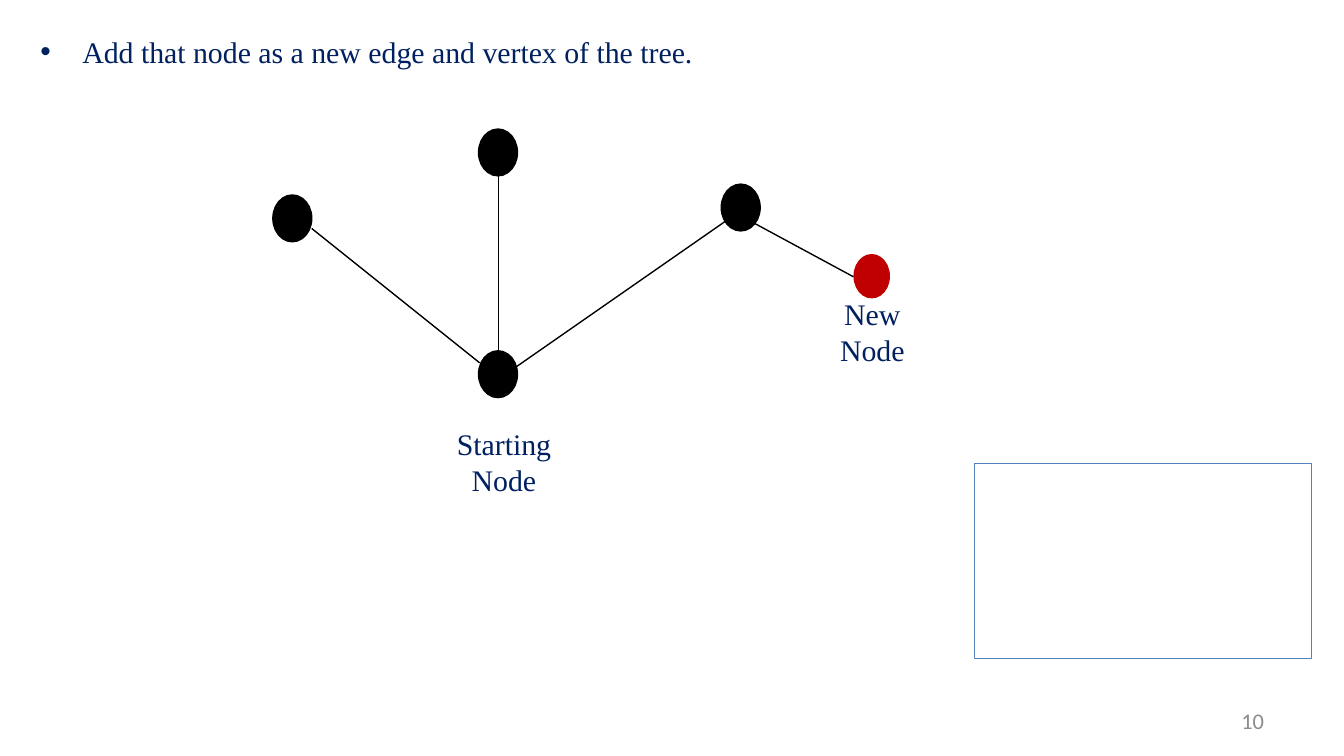
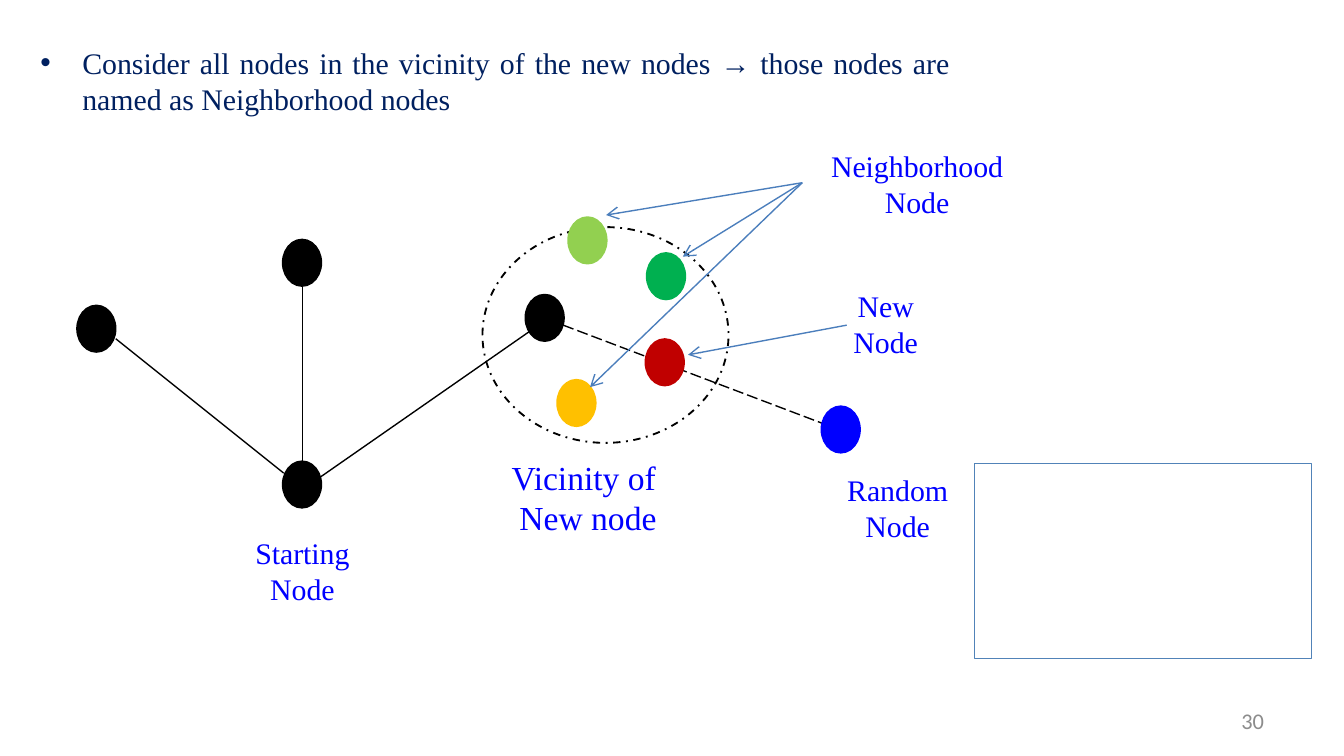
from dataclasses import dataclass

import lxml.etree
import pptx
import pptx.dml.color
import pptx.enum.dml
import pptx.enum.shapes
import pptx.enum.text
import pptx.oxml.ns
import pptx.util

Pt = pptx.util.Pt
RGBColor = pptx.dml.color.RGBColor
MSO_LINE = pptx.enum.dml.MSO_LINE
MSO_SHAPE = pptx.enum.shapes.MSO_SHAPE
MSO_ANCHOR = pptx.enum.text.MSO_ANCHOR
MSO_AUTO_SIZE = pptx.enum.text.MSO_AUTO_SIZE
PP_ALIGN = pptx.enum.text.PP_ALIGN
qn = pptx.oxml.ns.qn

BLACK = RGBColor(0x00, 0x00, 0x00)
WHITE = RGBColor(0xFF, 0xFF, 0xFF)
NAVY = RGBColor(0x00, 0x20, 0x60)
BLUE = RGBColor(0x00, 0x00, 0xFF)
RED = RGBColor(0xC0, 0x00, 0x00)
LIME = RGBColor(0x92, 0xD0, 0x50)
GREEN = RGBColor(0x00, 0xB0, 0x50)
AMBER = RGBColor(0xFF, 0xC0, 0x00)
ARROW_BLUE = RGBColor(0x4B, 0x7E, 0xBC)
FRAME_BLUE = RGBColor(0x51, 0x83, 0xB8)
GREY = RGBColor(0x8C, 0x8C, 0x8C)

SERIF = "Times New Roman"
NODE_W, NODE_H = 19.6, 23.8
LABEL_H = 46
INDENT = 22.5


@dataclass(frozen=True)
class Node:
    x: float
    y: float
    color: RGBColor = BLACK
    outlined: bool = True


@dataclass(frozen=True)
class Line:
    x1: float
    y1: float
    x2: float
    y2: float
    color: RGBColor = BLACK
    dash: MSO_LINE | None = None
    arrow: bool = False


@dataclass(frozen=True)
class Label:
    text: str
    x: float
    y: float
    w: float = 66.2
    h: float = LABEL_H
    color: RGBColor = BLUE
    size: float = 16
    font: str = SERIF
    align: PP_ALIGN = PP_ALIGN.CENTER
    anchor: MSO_ANCHOR = MSO_ANCHOR.TOP
    wrap: bool = True


# The tree, measured from the top left corner of its starting node.
TREE_EDGES = (
    Line(10, 0, 10, -95.8),
    Line(19.6, 7.9, 133.4, -71.3),
    Line(0, 5.8, -90, -66.2),
)
TREE_NODES = (Node(0, 0), Node(130, -89.3), Node(0, -118.8), Node(-110.2, -83.5))


def add_node(s, node: Node) -> None:
    sp = s.shapes.add_shape(MSO_SHAPE.FLOWCHART_CONNECTOR,
                            Pt(node.x), Pt(node.y), Pt(NODE_W), Pt(NODE_H))
    sp.shadow.inherit = False
    sp.fill.solid()
    sp.fill.fore_color.rgb = node.color
    if node.outlined:
        sp.line.color.rgb = node.color
        sp.line.width = Pt(2)
    else:
        sp.line.fill.background()


def add_line(s, line: Line) -> None:
    cx = s.shapes.add_connector(pptx.enum.shapes.MSO_CONNECTOR.STRAIGHT,
                                Pt(line.x1), Pt(line.y1), Pt(line.x2), Pt(line.y2))
    cx.line.color.rgb = line.color
    cx.line.width = Pt(0.75)
    if line.dash is not None:
        cx.line.dash_style = line.dash
    properties = cx._element.spPr
    if line.arrow:
        lxml.etree.SubElement(properties.find(qn("a:ln")), qn("a:tailEnd"), type="arrow")
    lxml.etree.SubElement(properties, qn("a:effectLst"))


def add_label(s, label: Label) -> None:
    tf = s.shapes.add_textbox(Pt(label.x), Pt(label.y),
                              Pt(label.w), Pt(label.h)).text_frame
    tf.word_wrap = label.wrap
    tf.vertical_anchor = label.anchor
    tf.text = label.text
    for p in tf.paragraphs:
        p.alignment = label.align
        p.font.name = label.font
        p.font.size = Pt(label.size)
        p.font.color.rgb = label.color


def add_tree(s, x: float, y: float) -> None:
    """Draw the tree with its starting node's corner at (x, y)."""
    for edge in TREE_EDGES:
        add_line(s, Line(x + edge.x1, y + edge.y1, x + edge.x2, y + edge.y2))
    for node in TREE_NODES:
        add_node(s, Node(x + node.x, y + node.y))


def add_statement(s, text: str, top: float, height: float) -> None:
    """Fill the body placeholder with one justified bullet."""
    body = s.placeholders[1]
    body.left, body.top, body.width, body.height = Pt(14.4), Pt(top), Pt(502), Pt(height)
    tf = body.text_frame
    tf.auto_size = MSO_AUTO_SIZE.NONE
    tf.text = text
    p = tf.paragraphs[0]
    properties = p._p.get_or_add_pPr()
    properties.set("marL", str(Pt(INDENT)))
    properties.set("indent", str(-Pt(INDENT)))
    p.space_before = Pt(0)
    lxml.etree.SubElement(properties, qn("a:buChar"), char="•")
    p.alignment = PP_ALIGN.JUSTIFY
    p.font.name = SERIF
    p.font.size = Pt(16)
    p.font.color.rgb = NAVY


def add_base_slide(prs, number: int):
    """Add a slide with the corner frame and the page number."""
    s = prs.slides.add_slide(prs.slide_layouts[1])
    title = s.shapes.title._element
    title.getparent().remove(title)
    frame = s.shapes.add_shape(MSO_SHAPE.RECTANGLE,
                               Pt(522), Pt(248.2), Pt(180.7), Pt(104.4))
    frame.shadow.inherit = False
    frame.fill.background()
    frame.line.color.rgb = FRAME_BLUE
    frame.line.width = Pt(0.25)
    add_label(s, Label(str(number), 516.2, 375.4, 168, 21.6, GREY, 12, "Calibri",
                       PP_ALIGN.RIGHT, MSO_ANCHOR.MIDDLE))
    return s


def build_new_vertex_slide(prs) -> None:
    s = add_base_slide(prs, 10)
    add_statement(s, "Add that node as a new edge and vertex of the tree.", 14.4, 26.6)
    add_tree(s, 257, 188.6)
    add_label(s, Label("Starting Node", 236.9, 224.6, color=NAVY))
    add_node(s, Node(457.2, 136.1, RED, outlined=False))
    add_line(s, Line(457.2, 148.3, 403.9, 119.5))
    add_label(s, Label("New Node", 434.2, 154.8, color=NAVY))


def build_neighborhood_slide(prs) -> None:
    s = add_base_slide(prs, 30)
    add_statement(s, "Consider all nodes in the vicinity of the new nodes → "
                  "those nodes are named as Neighborhood nodes", 20.2, LABEL_H)
    vicinity = s.shapes.add_shape(MSO_SHAPE.OVAL,
                                  Pt(258.5), Pt(121.7), Pt(131.8), Pt(115.6))
    vicinity.shadow.inherit = False
    vicinity.fill.solid()
    vicinity.fill.fore_color.rgb = WHITE
    vicinity.line.color.rgb = BLACK
    vicinity.line.width = Pt(1)
    vicinity.line.dash_style = MSO_LINE.DASH_DOT

    add_tree(s, 152, 247.7)
    add_line(s, Line(301.7, 174.2, 440.6, 226.8, dash=MSO_LINE.LONG_DASH))
    for node in (
        Node(440.6, 218.2, BLUE),
        Node(346.3, 182.2, RED),
        Node(304.9, 116.9, LIME),
        Node(347, 136.1, GREEN),
        Node(299, 204, AMBER),
    ):
        add_node(s, node)
    for tip_x, tip_y in ((324.7, 115.2), (365.8, 137.5), (316.1, 207.4)):
        add_line(s, Line(429.8, 97.9, tip_x, tip_y, ARROW_BLUE, arrow=True))
    add_line(s, Line(453.6, 174.2, 368.6, 190.1, ARROW_BLUE, arrow=True))
    for label in (
        Label("Starting Node", 128.9, 283),
        Label("Random Node", 444.2, 249.1, 73.4),
        Label("Vicinity of \nNew node", 266.4, 241.2, 97.2, 51, size=18, wrap=False),
        Label("New Node", 441.4, 150.5),
        Label("Neighborhood Node", 429.8, 75.6, 123),
    ):
        add_label(s, label)


def main() -> None:
    prs = pptx.Presentation()
    prs.slide_width, prs.slide_height = Pt(720), Pt(405)
    build_new_vertex_slide(prs)
    build_neighborhood_slide(prs)
    prs.save("out.pptx")


if __name__ == "__main__":
    main()
